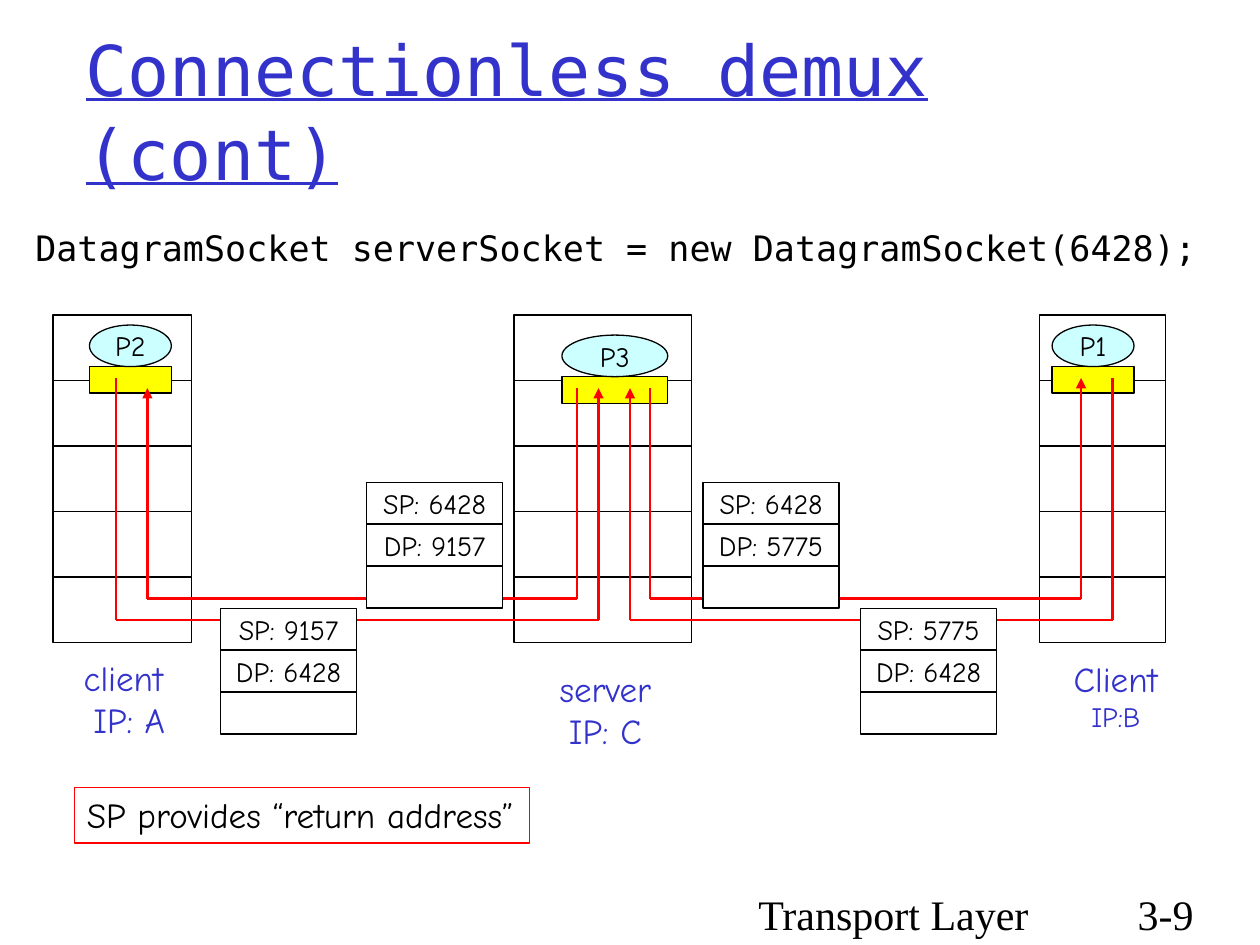
from pptx import Presentation
from pptx import util as u
from pptx.dml.color import RGBColor
from pptx.enum import shapes, text
from pptx.oxml.ns import qn
from lxml import etree

BLACK = RGBColor(0x00, 0x00, 0x00)
WHITE = RGBColor(0xFF, 0xFF, 0xFF)
BLUE = RGBColor(0x33, 0x33, 0xCC)
RED = RGBColor(0xFF, 0x00, 0x00)
YELLOW = RGBColor(0xFF, 0xFF, 0x00)
CYAN = RGBColor(0xCC, 0xFF, 0xFF)
HAND, MONO, SERIF = "Comic Neue", "DejaVu Sans Mono", "Times New Roman"
RECT, OVAL = shapes.MSO_SHAPE.RECTANGLE, shapes.MSO_SHAPE.OVAL
LEFT, CENTER = text.PP_ALIGN.LEFT, text.PP_ALIGN.CENTER
TOP, MIDDLE = text.MSO_ANCHOR.TOP, text.MSO_ANCHOR.MIDDLE


def write(box, words, size, font=HAND, color=BLACK, align=CENTER, anchor=TOP, wrap=False):
    """Fill a box with text in one font and colour."""
    frame = box.text_frame
    frame.text = words
    frame.auto_size = text.MSO_AUTO_SIZE.NONE
    frame.word_wrap = wrap
    frame.vertical_anchor = anchor
    for para in frame.paragraphs:
        para.alignment = align
        for span in para.runs:
            span.font.size = u.Pt(size)
            span.font.name = font
            span.font.color.rgb = color


def add_cell(kind, left, top, width, height, fill=WHITE, words=""):
    """Add an outlined shape with an optional centred label."""
    cell = page.shapes.add_shape(
        kind, u.Inches(left), u.Inches(top), u.Inches(width), u.Inches(height))
    cell.shadow.inherit = False
    cell.fill.solid()
    cell.fill.fore_color.rgb = fill
    cell.line.color.rgb = BLACK
    cell.line.width = u.Pt(0.75)
    if words:
        write(cell, words, 16, anchor=MIDDLE)
    return cell


deck = Presentation()
deck.slide_width, deck.slide_height = u.Inches(10), u.Inches(7.5)
page = deck.slides.add_slide(deck.slide_layouts[1])

# Title and code line
title, code = page.shapes.title, page.placeholders[1]
title.left, title.top = u.Inches(0.58), u.Inches(0.25)
title.width, title.height = u.Inches(8.5), u.Inches(1.25)
write(title, "Connectionless demux (cont)", 40, MONO, BLUE, LEFT, MIDDLE, True)
title.text_frame.paragraphs[0].runs[0].font.underline = True

code.left, code.top = u.Inches(0.17), u.Inches(1.75)
code.width, code.height = u.Inches(9.5), u.Inches(0.67)
write(code, "DatagramSocket serverSocket = new DatagramSocket(6428);",
      20, MONO, BLACK, LEFT, TOP, True)
para = code.text_frame.paragraphs[0]
para.space_before = u.Pt(5)
properties = para._p.get_or_add_pPr()
properties.set("marL", str(u.Inches(0.38)))
properties.set("indent", str(u.Inches(-0.37)))
etree.SubElement(properties, qn("a:buNone"))

# Hosts: five stacked layers, a process and its socket
LAYER = 0.52
hosts = [
    # left, width, process, process left, process top, process width
    (0.42, 1.1, "P2", 0.71, 2.58, 0.65),
    (8.25, 1, "P1", 8.35, 2.58, 0.65),
    (4.08, 1.41, "P3", 4.46, 2.66, 0.84),
]
for left, width, process, process_left, process_top, process_width in hosts:
    for layer in range(5):
        add_cell(RECT, left, 2.5 + layer * LAYER, width, LAYER)
    add_cell(RECT, process_left, process_top + 0.33, process_width, 0.21, YELLOW)
    add_cell(OVAL, process_left, process_top, process_width, 0.33, CYAN, process)

# Routes run down from the sender, across, and up to the receiver
routes = [
    # sender x, sender y, crossing y, receiver x, receiver y
    (0.92, 3, 4.92, 4.75, 3.08),
    (4.58, 3.08, 4.75, 1.17, 3.08),
    (8.83, 3, 4.92, 5, 3.08),
    (5.16, 3.08, 4.75, 8.58, 3),
]
for start_x, start_y, cross_y, end_x, end_y in routes:
    corners = [(start_x, start_y), (start_x, cross_y), (end_x, cross_y), (end_x, end_y)]
    for (x1, y1), (x2, y2) in zip(corners, corners[1:]):
        segment = page.shapes.add_connector(
            shapes.MSO_CONNECTOR.STRAIGHT,
            u.Inches(x1), u.Inches(y1), u.Inches(x2), u.Inches(y2))
        segment.line.color.rgb = RED
        segment.line.width = u.Pt(1.5)
        etree.SubElement(segment._element.spPr, qn("a:effectLst"))
    etree.SubElement(segment.line._get_or_add_ln(), qn("a:tailEnd"), type="triangle")

# Datagrams: source port, destination port, payload
datagrams = [
    (2.91, 3.83, "6428", "9157"),
    (1.75, 4.83, "9157", "6428"),
    (5.58, 3.83, "6428", "5775"),
    (6.83, 4.83, "5775", "6428"),
]
for left, top, source, destination in datagrams:
    for row, words in enumerate([f"SP: {source}", f"DP: {destination}", ""]):
        add_cell(RECT, left, top + row / 3, 1.08, 0.33, words=words)

# Host names and footer
labels = [
    (0.55, 5.16, 0.86, 0.77, "client\n IP: A", 20, HAND, BLUE, CENTER),
    (4.34, 5.25, 0.93, 0.77, "server\nIP: C", 20, HAND, BLUE, CENTER),
    (8.42, 5.17, 0.87, 0.7, "Client\nIP:B", 20, HAND, BLUE, CENTER),
    (5.92, 7, 3.16, 0.5, "Transport Layer", 24, SERIF, BLACK, LEFT),
    (8.93, 7, 0.74, 0.5, "3-9", 24, SERIF, BLACK, LEFT),
]
for left, top, width, height, words, size, font, color, align in labels:
    label = page.shapes.add_textbox(
        u.Inches(left), u.Inches(top), u.Inches(width), u.Inches(height))
    write(label, words, size, font, color, align, wrap=align == LEFT)
    if words.endswith("IP:B"):
        label.text_frame.paragraphs[1].runs[0].font.size = u.Pt(16)

# Remark
remark = add_cell(RECT, 0.59, 6.25, 3.61, 0.44)
remark.fill.background()
remark.line.color.rgb = RED
write(remark, "SP provides “return address”", 20, align=LEFT)

deck.save("out.pptx")
